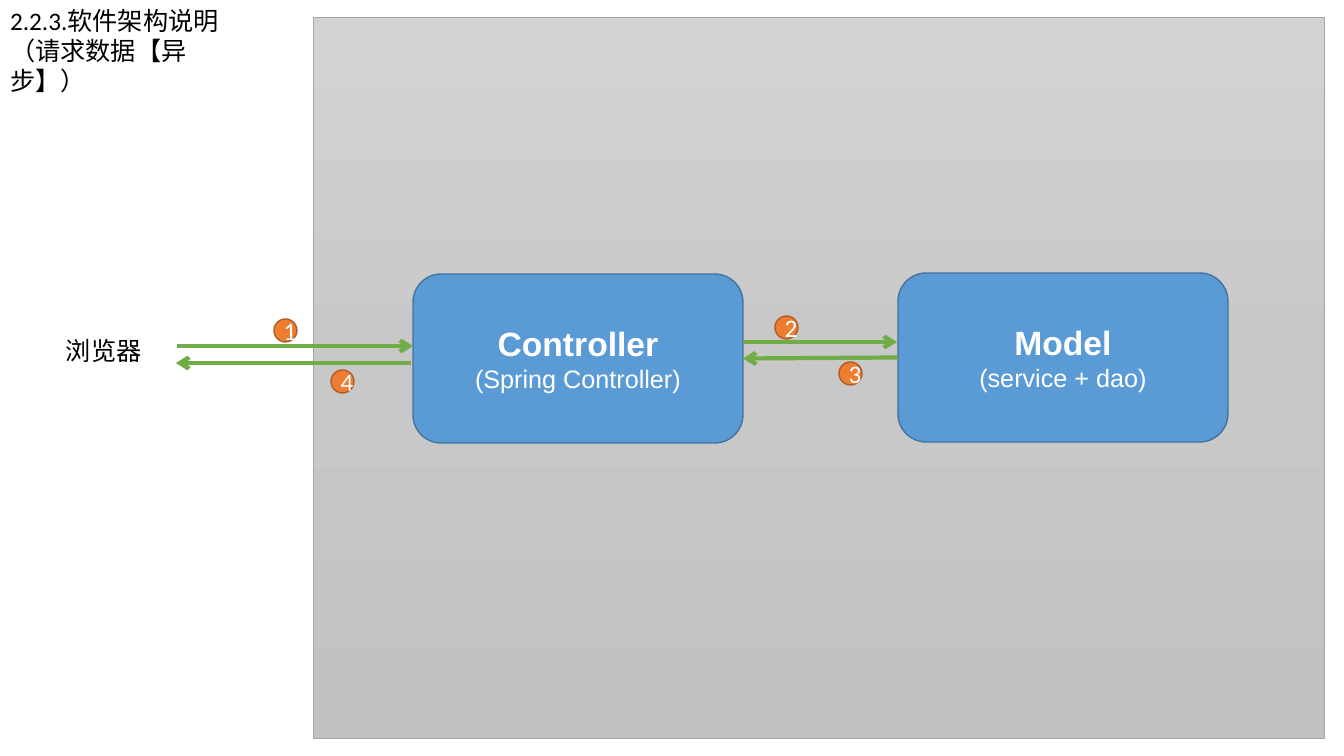
import copy

import pptx
import pptx.dml.color
import pptx.enum.shapes
import pptx.enum.text
import pptx.oxml
import pptx.oxml.ns
import pptx.util

RGBColor = pptx.dml.color.RGBColor
SHAPE = pptx.enum.shapes.MSO_SHAPE
ALIGN = pptx.enum.text.PP_ALIGN
ANCHOR = pptx.enum.text.MSO_ANCHOR
qn = pptx.oxml.ns.qn

BLACK = RGBColor(0x00, 0x00, 0x00)
WHITE = RGBColor(0xFF, 0xFF, 0xFF)
BLUE = RGBColor(0x5B, 0x9B, 0xD5)
BLUE_EDGE = RGBColor(0x43, 0x73, 0x9E)
ORANGE = RGBColor(0xED, 0x7D, 0x31)
ORANGE_EDGE = RGBColor(0xAF, 0x5C, 0x24)
GREEN = RGBColor(0x70, 0xAD, 0x47)
GRAY_EDGE = RGBColor(0xA5, 0xA5, 0xA5)
GRAYS = (RGBColor(0xD2, 0xD2, 0xD2), RGBColor(0xC8, 0xC8, 0xC8), RGBColor(0xC0, 0xC0, 0xC0))


def px(n):
    return pptx.util.Emu(round(n * 914400 / 100.8))


class Diagram:
    heading_font = "Arial"
    body_font = "Calibri"

    def __init__(self, prs):
        self.slide = prs.slides.add_slide(prs.slide_layouts[5])
        self.shapes = self.slide.shapes

    def fill_text(self, tf, lines, color, align):
        for i, (text, size, font, bold) in enumerate(lines):
            p = tf.paragraphs[0] if i == 0 else tf.add_paragraph()
            p.text = text
            p.alignment = align
            p.space_before = pptx.util.Pt(0)
            p.font.size = pptx.util.Pt(size)
            p.font.name = font
            p.font.bold = bold
            p.font.color.rgb = color

    def label(self, sp, lines):
        tf = sp.text_frame
        tf.word_wrap = False
        tf.vertical_anchor = ANCHOR.TOP
        tf.auto_size = pptx.enum.text.MSO_AUTO_SIZE.SHAPE_TO_FIT_TEXT
        self.fill_text(tf, [(s, 18, self.body_font, False) for s in lines], BLACK, ALIGN.LEFT)

    def title(self, x, y, w, h, lines):
        sp = self.shapes.title
        sp.left, sp.top, sp.width, sp.height = map(px, (x, y, w, h))
        self.label(sp, lines)

    def text(self, x, y, w, h, line):
        self.label(self.shapes.add_textbox(*map(px, (x, y, w, h))), [line])

    def shape(self, kind, x, y, w, h, fill, edge, edge_width=1):
        sp = self.shapes.add_shape(kind, *map(px, (x, y, w, h)))
        sp.shadow.inherit = False
        if fill:
            sp.fill.solid()
            sp.fill.fore_color.rgb = fill
        sp.line.color.rgb = edge
        sp.line.width = pptx.util.Pt(edge_width)
        return sp

    def panel(self, x, y, w, h):
        sp = self.shape(SHAPE.RECTANGLE, x, y, w, h, None, GRAY_EDGE, 0.5)
        sp.fill.gradient()
        sp.fill.gradient_angle = 270
        stops = next(sp._element.spPr.iter(qn("a:gsLst")))
        stops.insert(1, copy.deepcopy(stops[0]))
        for i, (stop, gray) in enumerate(zip(sp.fill.gradient_stops, GRAYS)):
            stop.position = i / 2
            stop.color.rgb = gray

    def component(self, x, y, name, detail):
        sp = self.shape(SHAPE.ROUNDED_RECTANGLE, x, y, 330, 169, BLUE, BLUE_EDGE)
        lines = [(name, 24, self.heading_font, True), (detail, 18, self.heading_font, False)]
        self.fill_text(sp.text_frame, lines, WHITE, ALIGN.CENTER)
        return sp

    def arrow(self, x1, y1, x2, y2):
        line = self.shapes.add_connector(
            pptx.enum.shapes.MSO_CONNECTOR.STRAIGHT, *map(px, (x1, y1, x2, y2)))
        line.line.color.rgb = GREEN
        line.line.width = pptx.util.Pt(3)
        props = line._element.spPr
        props.find(qn("a:ln")).append(pptx.oxml.parse_xml(
            f'<a:tailEnd {pptx.oxml.ns.nsdecls("a")} type="arrow"/>'))
        props.append(pptx.oxml.parse_xml(
            f'<a:effectLst {pptx.oxml.ns.nsdecls("a")}/>'))
        return line

    def step(self, x, y, number):
        sp = self.shape(SHAPE.OVAL, x, y, 23, 23, ORANGE, ORANGE_EDGE)
        lines = [(str(number), 18, self.body_font, False)]
        self.fill_text(sp.text_frame, lines, WHITE, ALIGN.CENTER)


def main():
    prs = pptx.Presentation()
    prs.slide_width, prs.slide_height = px(1344), px(756)
    s = Diagram(prs)

    s.panel(313, 17, 1011, 721)
    s.title(0, 0, 272, 72, ["2.2.3.软件架构说明", "（请求数据【异步】）"])
    controller = s.component(413, 274, "Controller", "(Spring Controller)")
    model = s.component(898, 273, "Model", "(service + dao)")

    s.arrow(177, 346, 413, 346)
    s.arrow(744, 342, 897, 342)
    reply = s.arrow(898, 358, 743, 359)
    reply.begin_connect(model, 1)
    reply.end_connect(controller, 3)
    s.arrow(411, 363, 176, 363)

    for number, (x, y) in enumerate([(274, 319), (775, 316), (839, 362), (331, 370)], 1):
        s.step(x, y, number)
    s.text(56, 330, 96, 40, "浏览器")

    prs.save("out.pptx")


if __name__ == "__main__":
    main()
